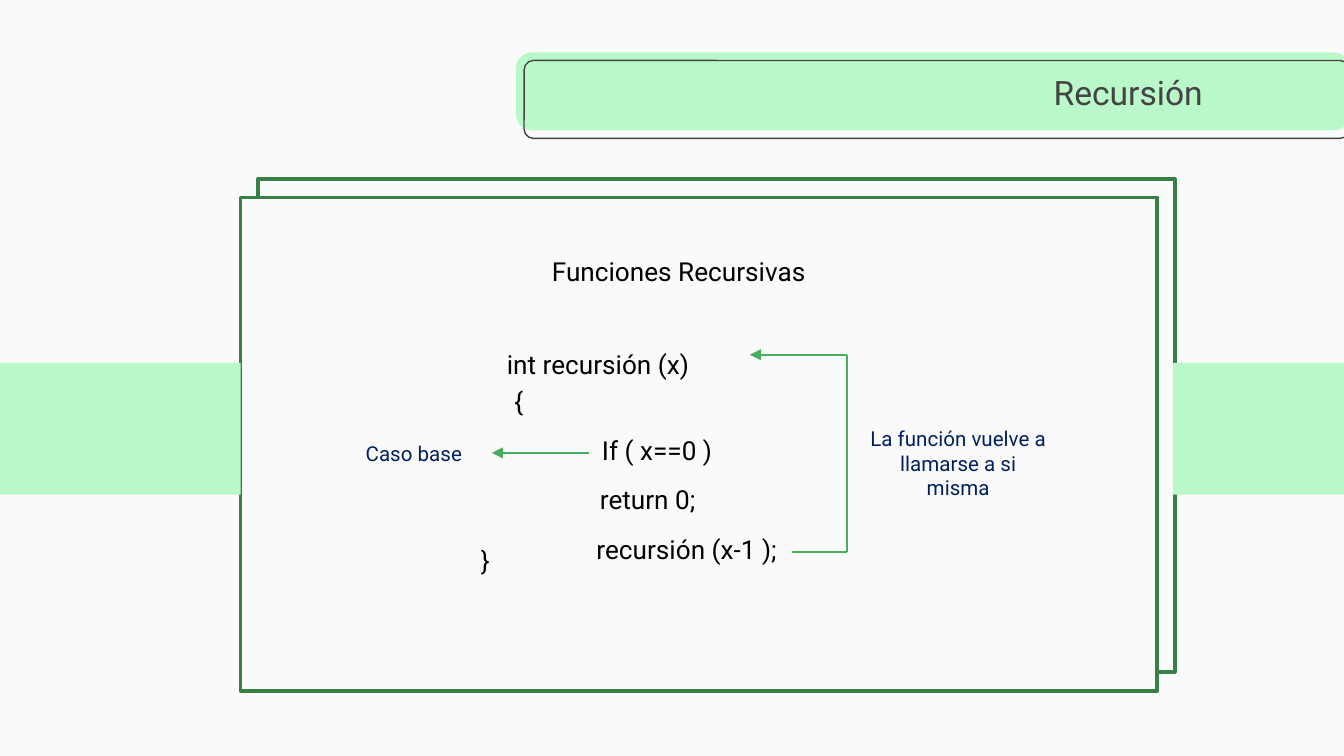
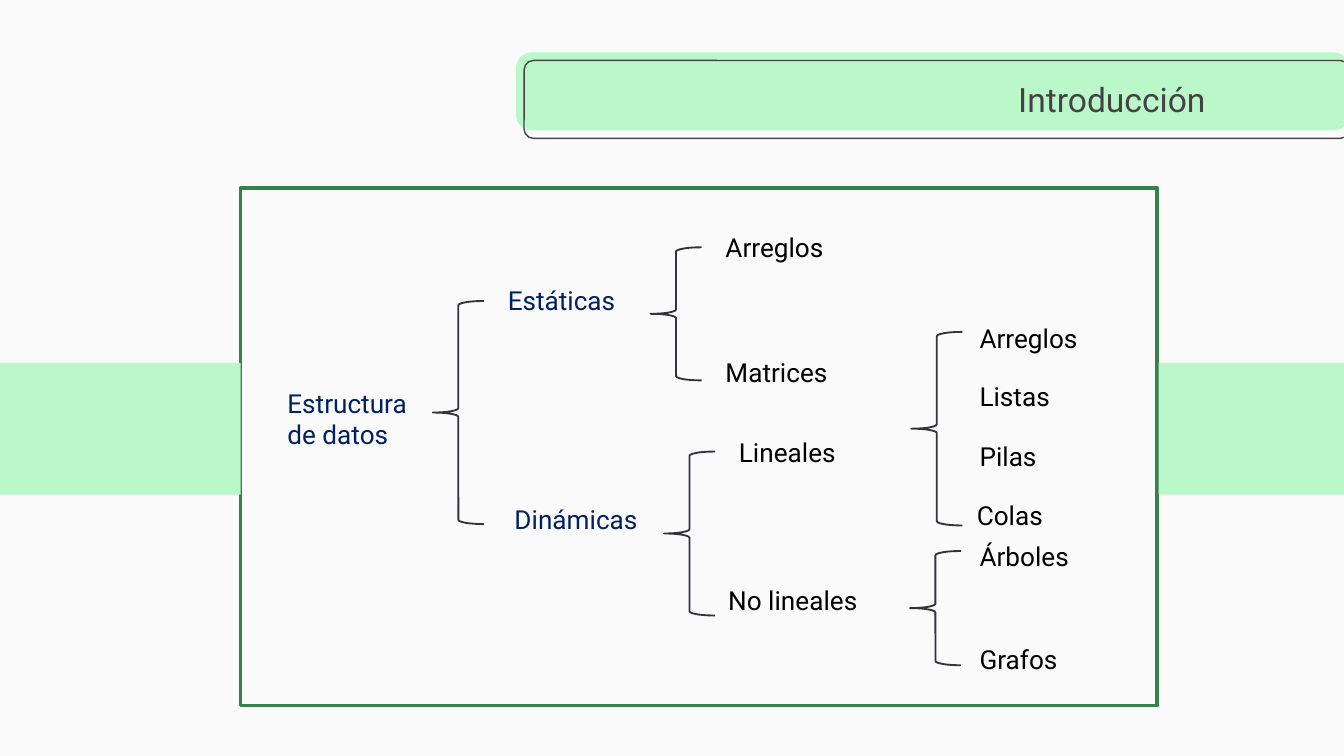
from lxml import etree
from pptx import Presentation
from pptx.dml.color import RGBColor
from pptx.enum.shapes import MSO_CONNECTOR, MSO_SHAPE
from pptx.enum.text import MSO_ANCHOR, MSO_AUTO_SIZE, PP_ALIGN
from pptx.oxml.ns import qn
from pptx.util import Inches, Pt

RECTANGLE, ROUNDED = MSO_SHAPE.RECTANGLE, MSO_SHAPE.ROUNDED_RECTANGLE
LEFT_BRACE = MSO_SHAPE.LEFT_BRACE
STRAIGHT = MSO_CONNECTOR.STRAIGHT
LEFT, CENTER, RIGHT = PP_ALIGN.LEFT, PP_ALIGN.CENTER, PP_ALIGN.RIGHT

PAPER = RGBColor(0xFA, 0xFA, 0xFA)
MINT = RGBColor(0xBA, 0xF7, 0xC9)
GREEN = RGBColor(0x37, 0x81, 0x49)
ARROW_GREEN = RGBColor(0x47, 0xAE, 0x60)
GRAY = RGBColor(0x43, 0x43, 0x43)
BRACE_GRAY = RGBColor(0x33, 0x33, 0x3D)
NAVY = RGBColor(0x00, 0x20, 0x60)
BLACK = RGBColor(0, 0, 0)

FONT = "Roboto"
SLIDE_WIDTH = 10
SLIDE_HEIGHT = SLIDE_WIDTH * 9 / 16
BAND_TOP, BAND_HEIGHT = 2.7, 0.98
PANEL_LEFT, PANEL_WIDTH = 1.79, 6.82
BRACE_WIDTH = 0.38

# Slide 1: text, left, top, width
CODE_LINES = [
    ("Funciones Recursivas", 3.44, 1.85, 3.22),
    ("int recursión (x)", 3.67, 2.54, 1.56),
    ("{", 3.75, 2.82, 0.22),
    ("If ( x==0 )", 4.11, 3.18, 1.56),
    ("return 0;", 4.04, 3.55, 1.56),
    ("recursión (x-1 );", 4.33, 3.92, 1.56),
    ("}", 3.5, 4, 0.22),
]
CODE_NOTES = [
    ("La función vuelve a llamarse a si misma", 6.36, 3.12, 1.54),
    ("Caso base", 2.3, 3.23, 1.56),
]
# Start, end, arrowhead at the end
CODE_ARROWS = [
    ((5.89, 4.11), (6.3, 4.11), False),
    ((6.3, 2.64), (6.3, 4.11), False),
    ((6.3, 2.64), (5.58, 2.64), True),
    ((4.38, 3.37), (3.66, 3.37), True),
]

# Slide 2: text, left, top, width, colour
TREE_LABELS = [
    ("Estructura de datos", 2.04, 2.83, 1.1, NAVY),
    ("Estáticas", 3.68, 2.07, 1.3, NAVY),
    ("Dinámicas", 3.73, 3.7, 1.3, NAVY),
    ("Arreglos", 5.3, 1.67, 1.3, BLACK),
    ("Matrices", 5.3, 2.6, 1.3, BLACK),
    ("Lineales", 5.4, 3.2, 1.3, BLACK),
    ("No lineales", 5.32, 4.3, 1.47, BLACK),
    ("Arreglos", 7.19, 2.35, 1.3, BLACK),
    ("Listas", 7.19, 2.78, 1.3, BLACK),
    ("Pilas", 7.19, 3.23, 1.3, BLACK),
    ("Colas", 7.17, 3.67, 1.3, BLACK),
    ("Árboles", 7.19, 3.97, 1.3, BLACK),
    ("Grafos", 7.19, 4.74, 1.3, BLACK),
]
# Left, top, height
TREE_BRACES = [
    (3.22, 2.24, 1.66),
    (4.84, 1.84, 0.99),
    (4.94, 3.36, 1.22),
    (6.78, 2.47, 1.44),
    (6.77, 4.1, 0.85),
]


def add_shape(slide, kind, left, top, width, height, fill=None, line=None, weight=1):
    shape = slide.shapes.add_shape(
        kind, Inches(left), Inches(top), Inches(width), Inches(height))
    shape.shadow.inherit = False
    if fill is None:
        shape.fill.background()
    else:
        shape.fill.solid()
        shape.fill.fore_color.rgb = fill
    if line is None:
        shape.line.fill.background()
    else:
        shape.line.color.rgb = line
        shape.line.width = Pt(weight)
    return shape


def format_paragraph(paragraph, size, color, alignment):
    paragraph.alignment = alignment
    paragraph.font.name = FONT
    paragraph.font.size = Pt(size)
    paragraph.font.color.rgb = color


def add_label(slide, text, left, top, width, color=BLACK, size=14, alignment=LEFT):
    box = slide.shapes.add_textbox(
        Inches(left), Inches(top), Inches(width), Inches(0.34))
    frame = box.text_frame
    # A single brace is narrower than the usual side margins
    if len(text) == 1:
        frame.margin_left = frame.margin_right = 0
    frame.word_wrap = True
    frame.auto_size = MSO_AUTO_SIZE.SHAPE_TO_FIT_TEXT
    frame.text = text
    format_paragraph(frame.paragraphs[0], size, color, alignment)


def add_line(slide, start, end, has_arrow):
    connector = slide.shapes.add_connector(
        STRAIGHT, *(Inches(value) for value in start + end))
    connector.line.color.rgb = ARROW_GREEN
    connector.line.width = Pt(1)
    if has_arrow:
        etree.SubElement(connector.line._get_or_add_ln(), qn("a:tailEnd"), type="triangle")
    etree.SubElement(connector._element.spPr, qn("a:effectLst"))


def add_panel(slide, left, top, height):
    add_shape(slide, RECTANGLE, left, top, PANEL_WIDTH, height, PAPER, GREEN, 2)


def add_side_bands(slide, right_start):
    for left, right in ((0, PANEL_LEFT), (right_start, SLIDE_WIDTH)):
        add_shape(slide, RECTANGLE, left, BAND_TOP, right - left, BAND_HEIGHT, MINT)


def add_titled_slide(presentation, text, left, top, right_margin):
    slide = presentation.slides.add_slide(presentation.slide_layouts[5])
    # Title band with its offset outline
    band = add_shape(slide, ROUNDED, 3.84, 0.39, 6.2, 0.58, MINT)
    band.adjustments[0] = 0.2
    outline = add_shape(slide, ROUNDED, 3.9, 0.45, 6.14, 0.58, line=GRAY, weight=0.75)
    outline.adjustments[0] = 0.12
    # Title, brought in front of the band
    title = slide.shapes.title
    slide.shapes._spTree.append(title._element)
    title.left, title.top = Inches(left), Inches(top)
    title.width, title.height = Inches(3.49), Inches(0.53)
    frame = title.text_frame
    frame.text = text
    frame.vertical_anchor = MSO_ANCHOR.MIDDLE
    frame.auto_size = MSO_AUTO_SIZE.NONE
    frame.margin_left = frame.margin_top = frame.margin_bottom = Inches(0.1)
    frame.margin_right = Inches(right_margin)
    format_paragraph(frame.paragraphs[0], 18, GRAY, RIGHT)
    return slide


def build_recursion(presentation):
    slide = add_titled_slide(presentation, "Recursión", 5.68, 0.42, 0.22)
    add_panel(slide, 1.92, 1.33, 3.67)
    add_panel(slide, PANEL_LEFT, 1.47, 3.67)
    for line in CODE_LINES:
        add_label(slide, *line, alignment=CENTER)
    for note in CODE_NOTES:
        add_label(slide, *note, color=NAVY, size=11, alignment=CENTER)
    for arrow in CODE_ARROWS:
        add_line(slide, *arrow)
    add_side_bands(slide, 8.73)


def build_introduction(presentation):
    slide = add_titled_slide(presentation, "Introducción", 5.64, 0.47, 0.16)
    add_panel(slide, PANEL_LEFT, 1.4, 3.85)
    add_side_bands(slide, 8.62)
    for left, top, height in TREE_BRACES:
        add_shape(slide, LEFT_BRACE, left, top, BRACE_WIDTH, height, line=BRACE_GRAY)
    for label in TREE_LABELS:
        add_label(slide, *label)


def main():
    presentation = Presentation()
    presentation.slide_width = Inches(SLIDE_WIDTH)
    presentation.slide_height = Inches(SLIDE_HEIGHT)
    background = presentation.slide_master.background.fill
    background.solid()
    background.fore_color.rgb = PAPER
    build_recursion(presentation)
    build_introduction(presentation)
    presentation.save("out.pptx")


if __name__ == "__main__":
    main()
